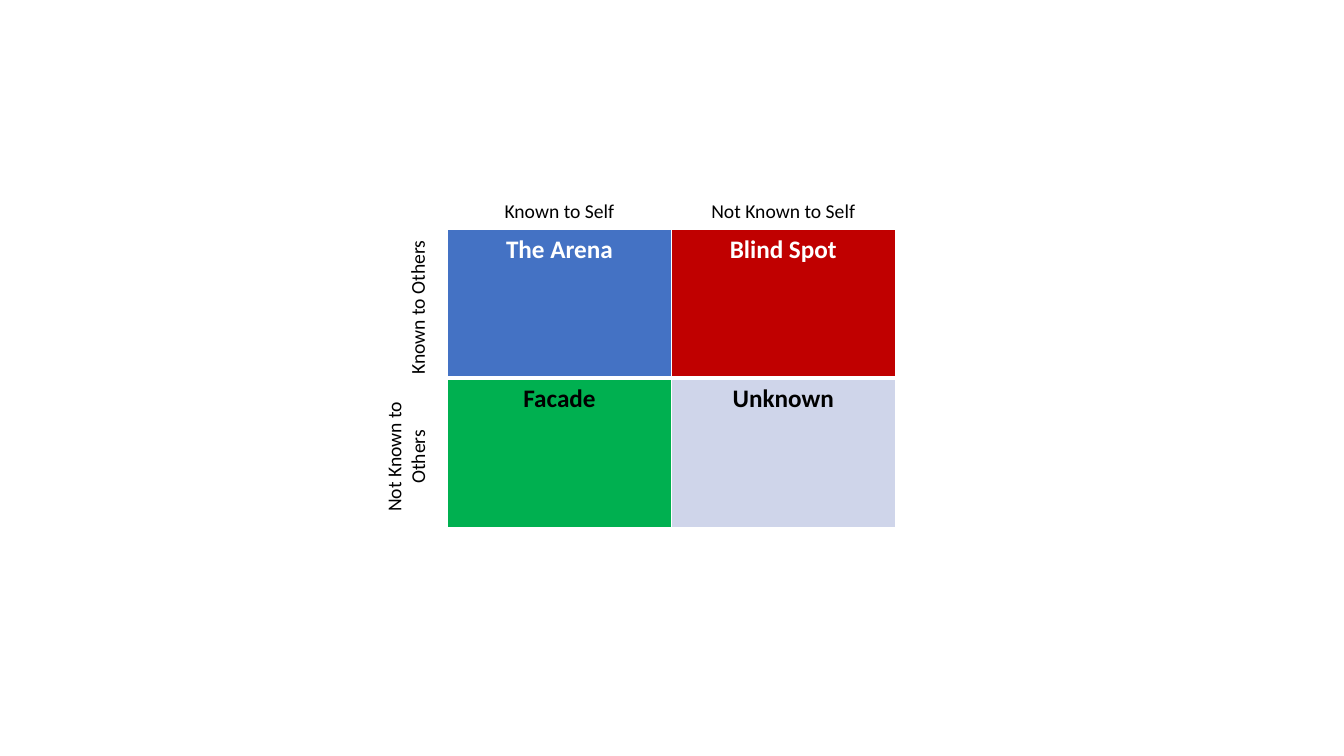
from dataclasses import dataclass
from lxml.etree import SubElement
from pptx import Presentation
from pptx.dml.color import RGBColor
from pptx.enum.text import MSO_AUTO_SIZE as AutoSize, PP_ALIGN as Align
from pptx.oxml.ns import qn
from pptx.util import Cm, Pt


@dataclass(frozen=True)
class Theme:
    font: str = "Calibri"
    label_size: int = 14
    cell_size: int = 18
    dark: str = "000000"
    light: str = "FFFFFF"
    blue: str = "4472C4"
    red: str = "C00000"
    green: str = "00B050"
    pale: str = "CFD5EA"


theme = Theme()
QUADRANTS = [
    [("The Arena", theme.blue, theme.light), ("Blind Spot", theme.red, theme.light)],
    [("Facade", theme.green, theme.dark), ("Unknown", theme.pale, theme.dark)],
]
COLUMN_LABELS = [("Known to Self", 3.3), ("Not Known to Self", 4.17)]
ROW_LABELS = [("Known to Others", 3.94, 0.86, False), ("Not Known to Others", 3.73, 1.45, True)]

LEFT, TOP = 11.28, 5.77
CELL_WIDTH, CELL_HEIGHT = 5.64, 3.76
COLUMN_LABEL_TOP, LABEL_HEIGHT = 4.9, 0.86
ROW_LABEL_RIGHT, ROW_LABEL_SHIFT = 10.95, 0.1
THIN, THICK = 1, 3

presentation = Presentation()
presentation.slide_width, presentation.slide_height = Cm(33.87), Cm(19.05)
slide = presentation.slides.add_slide(presentation.slide_layouts[6])


def write(frame, text, size, color, bold=False):
    paragraph = frame.paragraphs[0]
    paragraph.alignment = Align.CENTER
    run = paragraph.add_run()
    run.text = text
    font_format = {"name": theme.font, "size": Pt(size), "bold": bold}
    for name, value in font_format.items():
        setattr(run.font, name, value)
    run.font.color.rgb = RGBColor.from_string(color)


def add_label(text, center_x, center_y, width, height, rotation=0, wrap=False):
    box = slide.shapes.add_textbox(
        Cm(center_x - width / 2), Cm(center_y - height / 2), Cm(width), Cm(height))
    box.rotation = rotation
    write(box.text_frame, text, theme.label_size, theme.dark)
    frame_format = {"word_wrap": wrap, "auto_size": AutoSize.SHAPE_TO_FIT_TEXT}
    for name, value in frame_format.items():
        setattr(box.text_frame, name, value)


def add_borders(cell, widths):
    properties = cell._tc.get_or_add_tcPr()
    for side, width in widths.items():
        line = SubElement(properties, qn(f"a:ln{side}"), w=str(Pt(width)))
        fill = SubElement(line, qn("a:solidFill"))
        SubElement(fill, qn("a:srgbClr"), val=theme.light)


table = slide.shapes.add_table(
    2, 2, Cm(LEFT), Cm(TOP), Cm(2 * CELL_WIDTH), Cm(2 * CELL_HEIGHT)).table
for row_index, quadrant_row in enumerate(QUADRANTS):
    table.rows[row_index].height = Cm(CELL_HEIGHT)
    top_width, bottom_width = (THIN, THICK) if row_index == 0 else (THICK, THIN)
    for column_index, (text, fill_color, text_color) in enumerate(quadrant_row):
        table.columns[column_index].width = Cm(CELL_WIDTH)
        cell = table.cell(row_index, column_index)
        write(cell.text_frame, text, theme.cell_size, text_color, bold=True)
        add_borders(cell, {"L": THIN, "R": THIN, "T": top_width, "B": bottom_width})
        cell.fill.solid()
        cell.fill.fore_color.rgb = RGBColor.from_string(fill_color)

for index, (text, width) in enumerate(COLUMN_LABELS):
    add_label(text, LEFT + (index + 0.5) * CELL_WIDTH,
              COLUMN_LABEL_TOP + LABEL_HEIGHT / 2, width, LABEL_HEIGHT)

for index, (text, width, height, wrap) in enumerate(ROW_LABELS):
    add_label(text, ROW_LABEL_RIGHT - height / 2,
              TOP + (index + 0.5) * CELL_HEIGHT + ROW_LABEL_SHIFT,
              width, height, rotation=270, wrap=wrap)

presentation.save("out.pptx")
